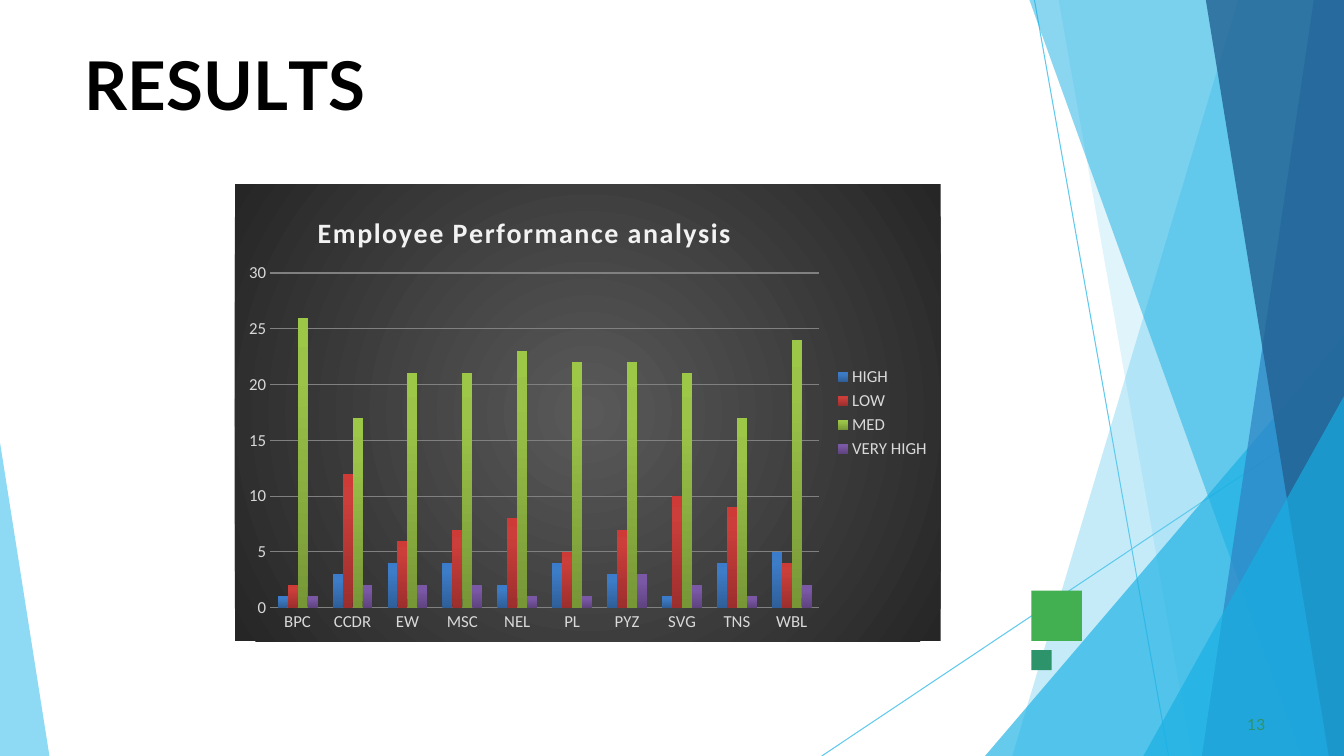
from dataclasses import dataclass

from lxml import etree
from pptx import Presentation
from pptx.chart.data import CategoryChartData
from pptx.dml.color import RGBColor
from pptx.enum.chart import XL_CHART_TYPE, XL_LEGEND_POSITION, XL_TICK_MARK
from pptx.enum.shapes import MSO_CONNECTOR, MSO_SHAPE
from pptx.oxml.ns import qn
from pptx.util import Inches, Pt

COLUMNS = XL_CHART_TYPE.COLUMN_CLUSTERED
LEGEND_RIGHT = XL_LEGEND_POSITION.RIGHT
NO_TICK = XL_TICK_MARK.NONE
STRAIGHT = MSO_CONNECTOR.STRAIGHT
RECTANGLE = MSO_SHAPE.RECTANGLE


@dataclass(frozen=True)
class Theme:
    """Colours, fonts and type sizes of the slide."""
    sky: str = "5FCAEE"
    cyan: str = "17AFE3"
    blue: str = "2D83C3"
    navy: str = "226192"
    green: str = "42AF51"
    teal: str = "2D936B"
    black: str = "000000"
    grid: str = "808080"
    label: str = "D9D9D9"
    chart_title: str = "F2F2F2"
    chart_back: tuple = ((0, "595959"), (100, "262626"))
    text_font: str = "Lato"
    chart_font: str = "Calibri"
    title_size: float = 48
    number_size: float = 11
    chart_title_size: float = 20
    label_size: float = 12
    hairline: float = 0.75


THEME = Theme()
WIDTH, HEIGHT = 13.33, 7.5

RAYS = [(10.26, 0, 11.59, HEIGHT), (WIDTH, 4.04, 8.15, HEIGHT)]
FACETS = [
    ([(WIDTH, 0), (12.28, 0), (10.04, HEIGHT), (WIDTH, HEIGHT)], THEME.sky, 36),
    ([(WIDTH, 0), (10.5, 0), (11.82, HEIGHT), (WIDTH, HEIGHT)], THEME.sky, 20),
    ([(WIDTH, 3.33), (9.77, HEIGHT), (WIDTH, HEIGHT)], THEME.cyan, 66),
    ([(WIDTH, 0), (10.21, 0), (12.91, HEIGHT), (WIDTH, HEIGHT)], THEME.cyan, 50),
    ([(WIDTH, 0), (13.03, 0), (11.92, HEIGHT), (WIDTH, HEIGHT)], THEME.blue, 70),
    ([(WIDTH, 0), (11.96, 0), (13.18, HEIGHT), (WIDTH, HEIGHT)], THEME.navy, 80),
    ([(WIDTH, 3.93), (11.34, HEIGHT), (WIDTH, HEIGHT)], THEME.cyan, 66),
    ([(0, 4.39), (0, HEIGHT), (0.49, HEIGHT)], THEME.sky, 70),
]

TEAMS = ["BPC", "CCDR", "EW", "MSC", "NEL", "PL", "PYZ", "SVG", "TNS", "WBL"]
RATINGS = {
    "HIGH": ([1, 3, 4, 4, 2, 4, 3, 1, 4, 5], ("2F5F99", "3D7CC7", "3A7CCB")),
    "LOW": ([2, 12, 6, 7, 8, 5, 7, 10, 9, 4], ("9C2F2D", "CB3E3A", "CE3B37")),
    "MED": ([26, 17, 21, 21, 23, 22, 22, 21, 17, 24], ("779737", "9BC348", "9DC746")),
    "VERY HIGH": ([1, 2, 2, 2, 1, 1, 3, 2, 1, 2], ("5F4480", "7B58A6", "7C57A8")),
}


def style_font(font, **values):
    """Set font attributes, turning a colour code into an RGB colour."""
    font.color.rgb = RGBColor.from_string(values.pop("color"))
    for name, value in values.items():
        setattr(font, name, value)


def add_child(parent, tag, **attributes):
    """Append an XML child with the given attributes."""
    values = {name: str(value) for name, value in attributes.items()}
    return etree.SubElement(parent, qn(tag), values)


def paint(shape, color):
    """Give a shape a plain fill without line or shadow."""
    shape.shadow.inherit = False
    shape.fill.solid()
    shape.fill.fore_color.rgb = RGBColor.from_string(color)
    shape.line.fill.background()


def add_gradient(properties, stops, angle=None):
    """Append a linear gradient, or a circular one when no angle is given."""
    gradient = add_child(properties, "a:gradFill", rotWithShape=1)
    stop_list = add_child(gradient, "a:gsLst")
    for position, color in stops:
        stop = add_child(stop_list, "a:gs", pos=position * 1000)
        add_child(stop, "a:srgbClr", val=color)
    if angle is None:
        circle = add_child(gradient, "a:path", path="circle")
        add_child(circle, "a:fillToRect", l=50000, t=50000, r=50000, b=50000)
    else:
        add_child(gradient, "a:lin", ang=angle * 60000, scaled=0)


def set_layout(element, index, **values):
    """Place a chart part by fractions of the chart area."""
    for old in element.findall(qn("c:layout")):
        element.remove(old)
    layout = etree.Element(qn("c:layout"))
    manual = add_child(layout, "c:manualLayout")
    if "w" in values:
        add_child(manual, "c:layoutTarget", val="inner")
    for name in ("xMode", "yMode"):
        add_child(manual, f"c:{name}", val="edge")
    for name, value in values.items():
        add_child(manual, f"c:{name}", val=value)
    element.insert(index, layout)


def add_backdrop(page):
    """Draw the thin rays and the translucent facets at the slide edges."""
    for ray in RAYS:
        line = page.shapes.add_connector(STRAIGHT, *map(Inches, ray))
        line.line.color.rgb = RGBColor.from_string(THEME.sky)
        line.line.width = Pt(THEME.hairline)
        add_child(line.element.spPr, "a:effectLst")
    for corners, color, opacity in FACETS:
        points = [(Inches(x), Inches(y)) for x, y in corners]
        builder = page.shapes.build_freeform(*points[0])
        builder.add_line_segments(points[1:], close=True)
        facet = builder.convert_to_shape()
        paint(facet, color)
        tint = facet.element.spPr.find(qn("a:solidFill"))[0]
        add_child(tint, "a:alpha", val=opacity * 1000)


def add_squares(page, left, top):
    """Draw the large green square with the small teal one below it."""
    for offset, side, color in ((0, 0.5, THEME.green), (0.59, 0.2, THEME.teal)):
        box = map(Inches, (left, top + offset, side, side))
        paint(page.shapes.add_shape(RECTANGLE, *box), color)


def add_text(page, box, spans, space_before, **font):
    """Write one line of text from spans of wording and letter spacing."""
    frame = page.shapes.add_textbox(*map(Inches, box)).text_frame
    margins = dict(margin_left=0, margin_top=Inches(0.01), margin_right=0, margin_bottom=0)
    for name, value in {"word_wrap": True, **margins}.items():
        setattr(frame, name, value)
    para = frame.paragraphs[0]
    para.space_before = Pt(space_before)
    for wording, spacing in spans:
        span = para.add_run()
        span.text = wording
        style_font(span.font, name=THEME.text_font, **font)
        span.font._element.set("spc", str(int(spacing * 100)))


def add_performance_chart(page, box):
    """Place the column chart with its dark backdrop in the given box."""
    data = CategoryChartData(number_format="General")
    data.categories = TEAMS
    for name, (values, _) in RATINGS.items():
        data.add_series(name, values)
    chart = page.shapes.add_chart(COLUMNS, *map(Inches, box), data).chart
    label = dict(name=THEME.chart_font, size=Pt(THEME.label_size), color=THEME.label)
    style_font(chart.font, **label)

    backdrop = etree.Element(qn("c:spPr"))
    add_gradient(backdrop, THEME.chart_back)
    add_child(add_child(backdrop, "a:ln"), "a:noFill")
    chart.element.find(qn("c:chart")).addnext(backdrop)

    chart.has_title = True
    para = chart.chart_title.text_frame.paragraphs[0]
    span = para.add_run()
    span.text = "Employee Performance analysis"
    style_font(span.font, name=THEME.chart_font, size=Pt(THEME.chart_title_size),
               bold=True, color=THEME.chart_title)
    span.font._element.set("spc", "100")
    set_layout(chart.chart_title._element, 1, x=0.11, y=0.05)
    plot_area = chart.element.find(qn("c:chart")).find(qn("c:plotArea"))
    set_layout(plot_area, 0, x=0.05, y=0.194, w=0.778, h=0.733)

    chart.has_legend = True
    chart.legend.position = LEGEND_RIGHT
    chart.legend.include_in_layout = False
    style_font(chart.legend.font, **label)
    for axis in (chart.category_axis, chart.value_axis):
        axis.major_tick_mark = axis.minor_tick_mark = NO_TICK
        axis.format.line.fill.background()
        style_font(axis.tick_labels.font, **label)
    scale = dict(minimum_scale=0, maximum_scale=30, major_unit=5, has_major_gridlines=True)
    for name, value in scale.items():
        setattr(chart.value_axis, name, value)
    grid = chart.value_axis.major_gridlines.format.line
    grid.color.rgb = RGBColor.from_string(THEME.grid)
    grid.width = Pt(THEME.hairline)

    plot = chart.plots[0]
    for name, value in dict(gap_width=150, overlap=0, vary_by_categories=False).items():
        setattr(plot, name, value)
    for series, (_, colors) in zip(plot.series, RATINGS.values()):
        add_gradient(series._element.get_or_add_spPr(), zip((0, 80, 100), colors), 270)


def main():
    """Build the results slide and save the deck."""
    deck = Presentation()
    deck.slide_width, deck.slide_height = Inches(WIDTH), Inches(HEIGHT)
    page = deck.slides.add_slide(deck.slide_layouts[6])
    add_backdrop(page)
    add_squares(page, 10.23, 5.86)
    add_text(page, (0.84, 0.42, 11.67, 0.83), [("RESU", 0), ("L", -4), ("TS", 0)], 1.1,
             size=Pt(THEME.title_size), bold=True, color=THEME.black)
    add_text(page, (12.37, 7.08, 0.25, 0.21), [("13", 0.1)], 0.6,
             size=Pt(THEME.number_size), color=THEME.teal)
    add_performance_chart(page, (2.33, 1.83, 7, 4.53))
    deck.save("out.pptx")


if __name__ == "__main__":
    main()
